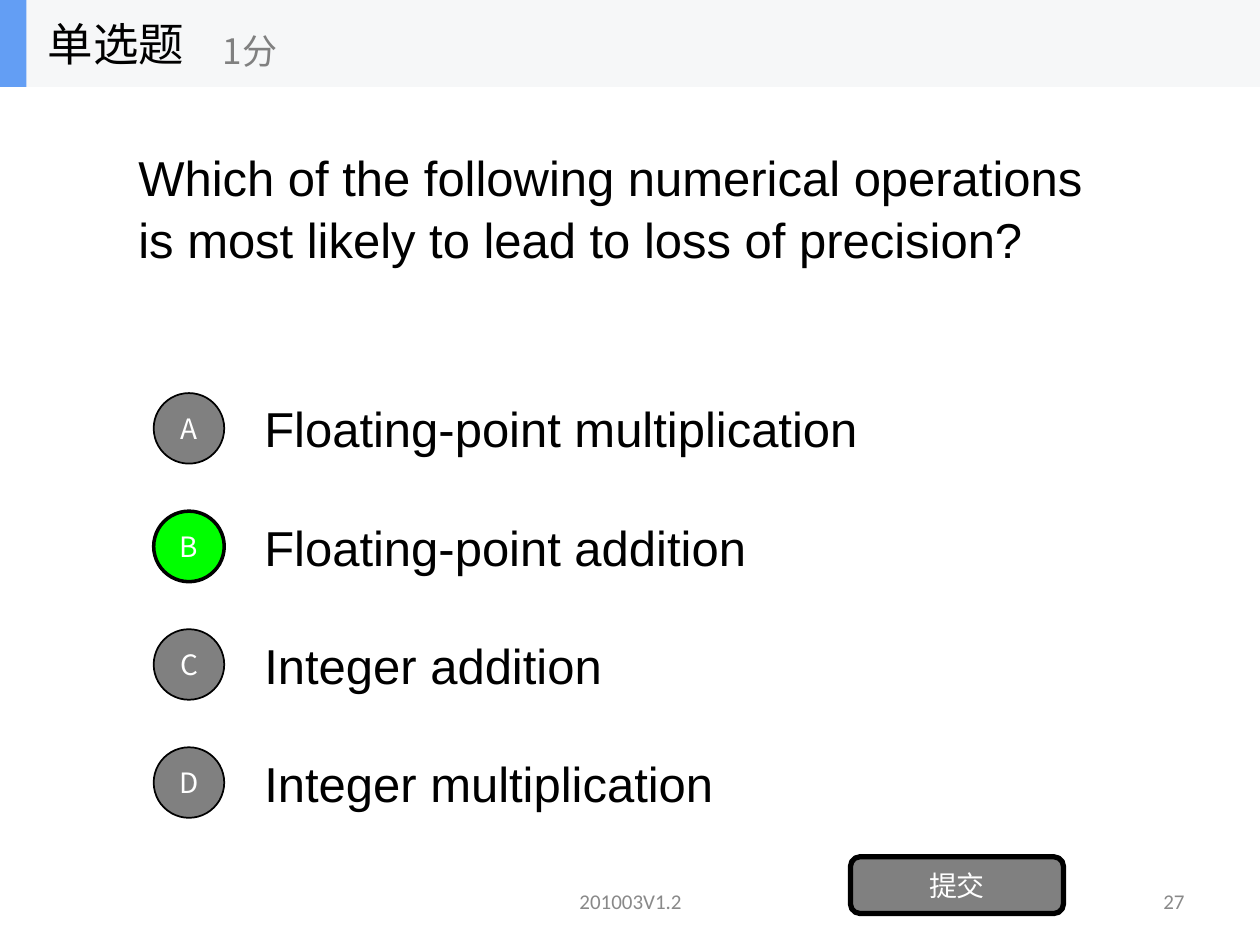
from lxml.etree import SubElement
from pptx import Presentation
from pptx.dml.color import RGBColor
from pptx.enum.shapes import MSO_SHAPE
from pptx.enum.text import MSO_ANCHOR, PP_ALIGN
from pptx.oxml.ns import qn
from pptx.util import Inches, Pt

CJK_FONT = "Noto Sans CJK SC"
BLACK, WHITE, GREY, GREEN = "000000", "FFFFFF", "808080", "00FF00"

OPTIONS = [
    ("A", "Floating-point multiplication"),
    ("B", "Floating-point addition"),
    ("C", "Integer addition"),
    ("D", "Integer multiplication"),
]
CORRECT = "B"
FIRST_OPTION_TOP, OPTION_STEP = 3.05, 0.937
OPTION_HEIGHT, BADGE_SIZE = 0.7, 0.56


def color(hex_code):
    return RGBColor.from_string(hex_code)


def write_text(shape, text, size, font="Arial", fill=BLACK,
               align=PP_ALIGN.LEFT, line_spacing=None):
    frame = shape.text_frame
    frame.word_wrap = True
    frame.vertical_anchor = MSO_ANCHOR.MIDDLE
    paragraph = frame.paragraphs[0]
    paragraph.alignment = align
    paragraph.line_spacing = line_spacing
    run = paragraph.add_run()
    run.text = text
    run.font.size = Pt(size)
    run.font.name = font
    run.font.color.rgb = color(fill)
    SubElement(run.font._element, qn("a:ea"), typeface=font)


def add_label(shapes, box, text, size, **text_format):
    label = shapes.add_textbox(*map(Inches, box))
    write_text(label, text, size, **text_format)


def add_block(shapes, kind, box, fill, line_width=0):
    block = shapes.add_shape(kind, *map(Inches, box))
    block.shadow.inherit = False
    block.fill.solid()
    block.fill.fore_color.rgb = color(fill)
    if line_width:
        block.line.color.rgb = color(BLACK)
        block.line.width = Pt(line_width)
    else:
        block.line.fill.background()
    return block


def add_button(shapes, kind, box, text, fill=GREY, line_width=1):
    button = add_block(shapes, kind, box, fill, line_width)
    write_text(button, text, 16, font=CJK_FONT, fill=WHITE, align=PP_ALIGN.CENTER)


def add_options(shapes):
    for row, (letter, answer) in enumerate(OPTIONS):
        top = FIRST_OPTION_TOP + row * OPTION_STEP
        add_label(shapes, (2, top, 7, OPTION_HEIGHT), answer, 28)
        badge_top = top + (OPTION_HEIGHT - BADGE_SIZE) / 2
        is_correct = letter == CORRECT
        add_button(shapes, MSO_SHAPE.OVAL, (1.22, badge_top, BADGE_SIZE, BADGE_SIZE),
                   letter, fill=GREEN if is_correct else GREY,
                   line_width=2 if is_correct else 1)


def add_header(shapes):
    header = shapes.add_group_shape().shapes
    add_block(header, MSO_SHAPE.RECTANGLE, (0, 0, 10, 0.69), "F6F7F8")
    add_block(header, MSO_SHAPE.RECTANGLE, (0, 0, 0.21, 0.69), "639EF4")
    add_label(header, (0.28, 0, 2.08, 0.69), "单选题", 26, font=CJK_FONT)
    add_label(header, (1.67, 0.12, 2.5, 0.56), "1分", 20, font=CJK_FONT, fill=GREY)


def add_footer(shapes):
    footer_format = {"font": "Calibri", "fill": "898989"}
    add_label(shapes, (3.42, 6.95, 3.17, 0.4), "201003V1.2", 12,
              align=PP_ALIGN.CENTER, **footer_format)
    add_label(shapes, (7.17, 6.95, 2.33, 0.4), "27", 12,
              align=PP_ALIGN.RIGHT, **footer_format)


def main():
    deck = Presentation()
    deck.slide_width, deck.slide_height = Inches(10), Inches(7.5)
    shapes = deck.slides.add_slide(deck.slide_layouts[6]).shapes

    add_footer(shapes)
    add_label(shapes, (1, 0.47, 8, 2.34),
              "Which of the following numerical operations is most likely "
              "to lead to loss of precision?", 28, line_spacing=1.05)
    add_options(shapes)
    add_button(shapes, MSO_SHAPE.ROUNDED_RECTANGLE, (6.75, 6.8, 1.69, 0.45),
               "提交", line_width=3)
    add_header(shapes)

    deck.save("out.pptx")


if __name__ == "__main__":
    main()
